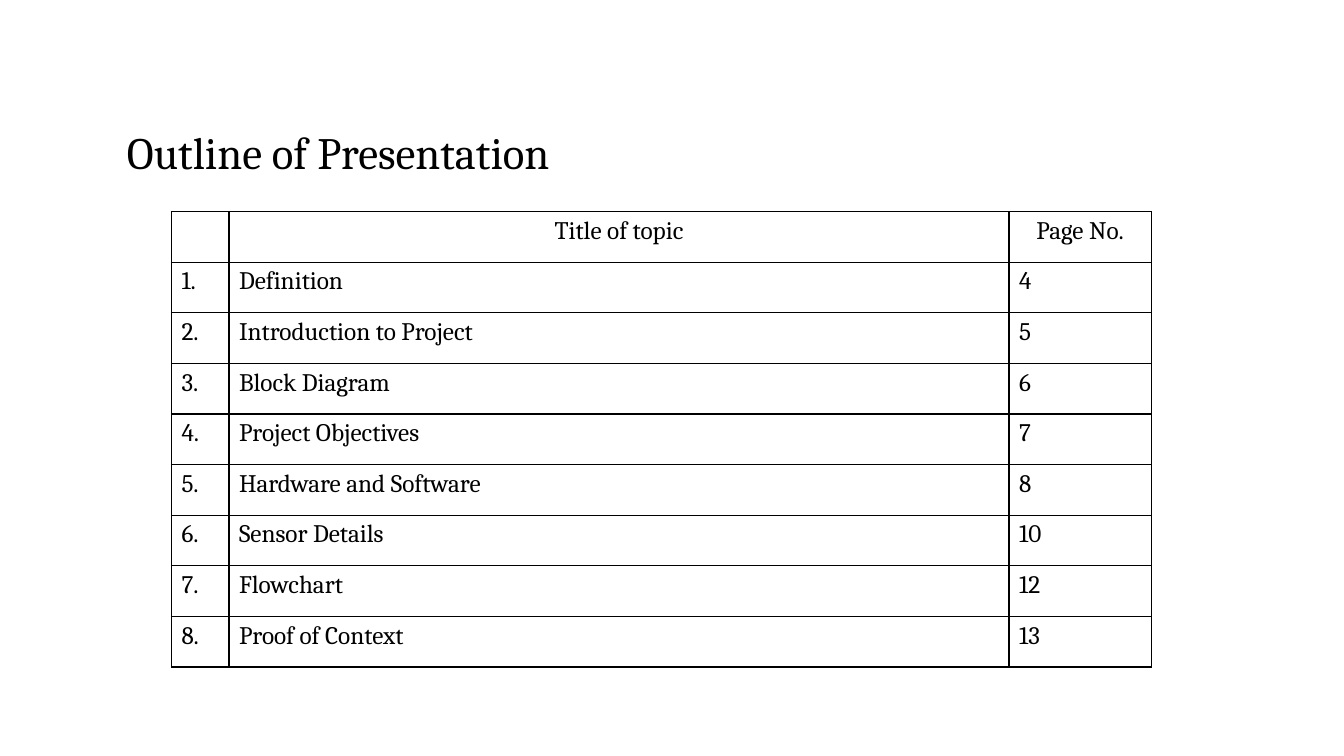
"""Build the outline slide: a title above a table of topics and page numbers."""
import dataclasses

import lxml.etree
import pptx
import pptx.dml.color
import pptx.enum.text
import pptx.oxml.ns
import pptx.util

Cm = pptx.util.Cm
Align = pptx.enum.text.PP_ALIGN
Anchor = pptx.enum.text.MSO_ANCHOR


@dataclasses.dataclass(frozen=True)
class Theme:
    font: str = "Cambria"
    ink: str = "000000"
    title_size: int = 32
    table_size: int = 18
    border_width: int = 1


theme = Theme()


def write_text(frame, text, size=theme.table_size, align=Align.LEFT, line_spacing=None):
    paragraph = frame.paragraphs[0]
    paragraph.alignment = align
    paragraph.line_spacing = line_spacing
    run = paragraph.add_run()
    run.text = text
    run.font.name = theme.font
    run.font.size = pptx.util.Pt(size)
    run.font.color.rgb = pptx.dml.color.RGBColor.from_string(theme.ink)


def add_borders(cell):
    properties = cell._tc.get_or_add_tcPr()
    qualify = pptx.oxml.ns.qn
    for side in ("a:lnL", "a:lnR", "a:lnT", "a:lnB"):
        line = lxml.etree.SubElement(properties, qualify(side))
        line.set("w", str(pptx.util.Pt(theme.border_width)))
        fill = lxml.etree.SubElement(line, qualify("a:solidFill"))
        lxml.etree.SubElement(fill, qualify("a:srgbClr")).set("val", theme.ink)


presentation = pptx.Presentation()
presentation.slide_width = Cm(33.87)
presentation.slide_height = Cm(19.05)
slide = presentation.slides.add_slide(presentation.slide_layouts[6])

title = slide.shapes.add_textbox(Cm(2.95), Cm(1.47), Cm(26.67), Cm(3.18))
title.text_frame.word_wrap = True
title.text_frame.vertical_anchor = Anchor.BOTTOM
write_text(title.text_frame, "Outline of Presentation", size=theme.title_size, line_spacing=0.9)

topics = [
    ("Definition", "4"),
    ("Introduction to Project", "5"),
    ("Block Diagram", "6"),
    ("Project Objectives", "7"),
    ("Hardware and Software", "8"),
    ("Sensor Details", "10"),
    ("Flowchart", "12"),
    ("Proof of Context", "13"),
]
rows = [("", "Title of topic", "Page No.")]
rows += [(f"{number}.", topic, page) for number, (topic, page) in enumerate(topics, 1)]
column_widths = [1.45, 19.66, 3.58]

table = slide.shapes.add_table(
    len(rows), len(column_widths), Cm(4.32), Cm(5.33), Cm(sum(column_widths)), Cm(11.48)
).table
table.first_row = False
table.horz_banding = False
for column, width in zip(table.columns, column_widths):
    column.width = Cm(width)

for row_index, row in enumerate(rows):
    for column_index, text in enumerate(row):
        cell = table.cell(row_index, column_index)
        add_borders(cell)
        cell.fill.background()
        if text:
            write_text(cell.text_frame, text, align=Align.LEFT if row_index else Align.CENTER)

presentation.save("out.pptx")
